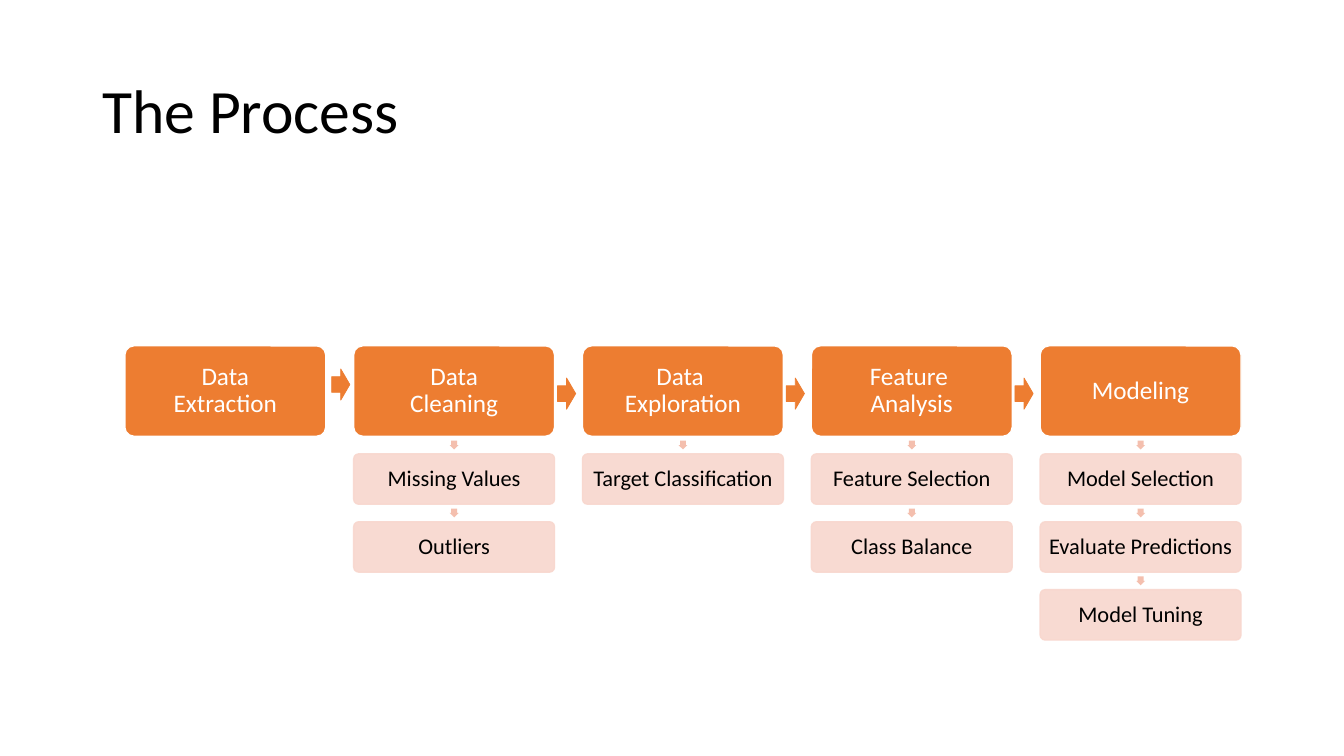
from lxml.etree import SubElement
from pptx import Presentation
from pptx.dml.color import RGBColor
from pptx.enum.shapes import MSO_SHAPE as Shape
from pptx.enum.text import MSO_ANCHOR as Anchor, PP_ALIGN as Align
from pptx.oxml.ns import qn
from pptx.util import Pt

COLORS = {
    "stage": "ED7D31",
    "step": "F8D7CE",
    "step_arrow": "F4BFAE",
    "white": "FFFFFF",
    "black": "000000",
}
FONT = "Calibri"

# \v is a line break inside a paragraph
STAGES = [
    ("Data\vExtraction", []),
    ("Data\vCleaning", ["Missing Values", "Outliers"]),
    ("Data \vExploration", ["Target Classification"]),
    ("Feature \vAnalysis", ["Feature Selection", "Class Balance"]),
    ("Modeling", ["Model Selection", "Evaluate Predictions", "Model Tuning"]),
]

# Column grid, in points
LEFT, COLUMN_PITCH, BOX_WIDTH = 89.2, 163.45, 143.5
STAGE_TOP, STAGE_HEIGHT = 247, 64.6
STEP_TOP, STEP_PITCH, STEP_HEIGHT = 324.2, 48.5, 36
STEP_ARROW, STEP_ARROW_RISE = 6.3, 9.4
# Left and top of the arrow after each stage
STAGE_ARROWS = [(236.9, 263.5), (398.2, 270), (561.6, 270), (725, 270)]


def set_alpha(fill, percent):
    """Make a solid fill partly transparent."""
    color = fill._xPr.find(qn("a:solidFill"))[0]
    SubElement(color, qn("a:alpha")).set("val", str(percent * 1000))


def write(shape, text, size, color, inset, align):
    frame = shape.text_frame
    frame.text = text
    frame.word_wrap = True
    frame.vertical_anchor = Anchor.MIDDLE
    frame.margin_left = frame.margin_right = Pt(inset)
    frame.margin_top = frame.margin_bottom = Pt(inset)
    paragraph = frame.paragraphs[0]
    paragraph.alignment = align
    paragraph.line_spacing = 0.9
    for run in paragraph.runs:
        run.font.name = FONT
        run.font.size = Pt(size)
        run.font.color.rgb = RGBColor.from_string(COLORS[color])


def add_title(slide, text):
    title = slide.shapes.add_textbox(Pt(66), Pt(28.8), Pt(828), Pt(104.4))
    write(title, text, 44, "black", 7.2, Align.LEFT)


def add_filled(slide, kind, left, top, width, height, fill, line=None, weight=1):
    shape = slide.shapes.add_shape(kind, Pt(left), Pt(top), Pt(width), Pt(height))
    shape.shadow.inherit = False
    shape.fill.solid()
    shape.fill.fore_color.rgb = RGBColor.from_string(COLORS[fill])
    if line:
        shape.line.color.rgb = RGBColor.from_string(COLORS[line])
        shape.line.width = Pt(weight)
    else:
        shape.line.fill.background()
    return shape


def add_box(slide, left, top, height, fill, line):
    box = add_filled(slide, Shape.ROUNDED_RECTANGLE, left, top, BOX_WIDTH, height, fill, line)
    box.adjustments[0] = 0.1
    return box


def add_stage(slide, left, text):
    stage = add_box(slide, left, STAGE_TOP, STAGE_HEIGHT, "stage", "white")
    write(stage, text, 18, "white", 2, Align.CENTER)


def add_step(slide, left, top, text):
    """Add a small down arrow and the step box below it."""
    arrow = add_filled(slide, Shape.RIGHT_ARROW, left + (BOX_WIDTH - STEP_ARROW) / 2,
                       top - STEP_ARROW_RISE, STEP_ARROW, STEP_ARROW, "step_arrow")
    arrow.rotation = 90
    arrow.adjustments[0] = 0.667
    step = add_box(slide, left, top, STEP_HEIGHT, "step", "step")
    set_alpha(step.fill, 90)
    set_alpha(step.line.fill, 90)
    write(step, text, 16, "black", 1.5, Align.CENTER)


def main():
    deck = Presentation()
    deck.slide_width, deck.slide_height = Pt(960), Pt(540)
    slide = deck.slides.add_slide(deck.slide_layouts[6])

    add_title(slide, "The Process")

    # Stages with their steps
    for column, (stage, steps) in enumerate(STAGES):
        left = LEFT + column * COLUMN_PITCH
        add_stage(slide, left, stage)
        for row, step in enumerate(steps):
            add_step(slide, left, STEP_TOP + row * STEP_PITCH, step)

    # Arrows between stages
    for left, top in STAGE_ARROWS:
        add_filled(slide, Shape.RIGHT_ARROW, left, top, 13, 22.3, "stage", "stage", 0.5)

    deck.save("out.pptx")


if __name__ == "__main__":
    main()
